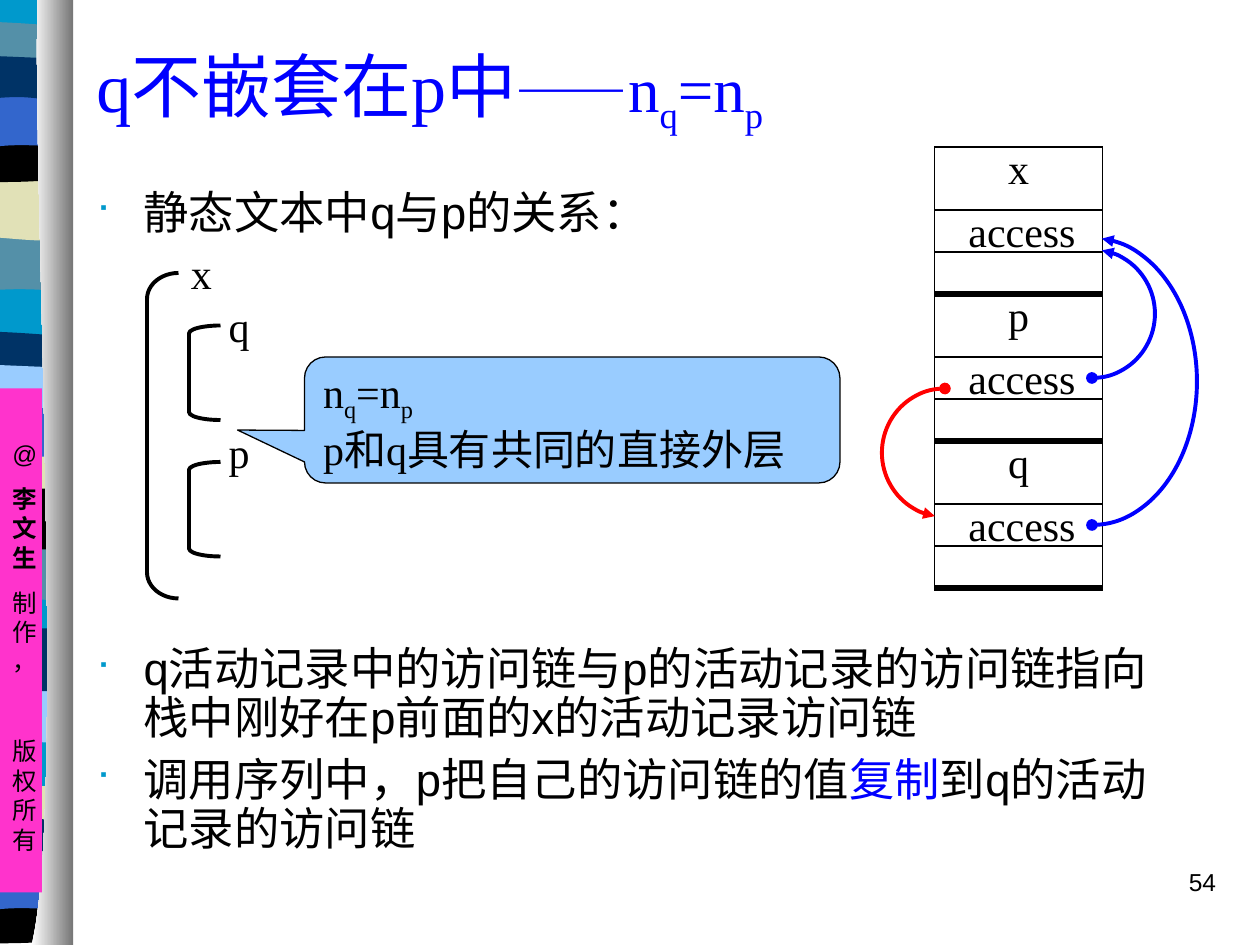
from lxml.etree import SubElement
from pptx import Presentation
from pptx.dml.color import RGBColor
from pptx.enum.shapes import MSO_CONNECTOR, MSO_SHAPE as Shape
from pptx.enum.text import MSO_ANCHOR as Anchor, PP_ALIGN as Align
from pptx.oxml.ns import qn
from pptx.util import Pt

BLACK, BLUE, RED, SKY, NAVY = "000000", "0000FF", "FF0000", "99CCFF", "003366"
TEAL, SLATE, SAND, ROYAL = "0099CC", "5490A8", "E1E1B7", "3366CC"
SERIF = {"name": "Times New Roman", "size": 24, "color": BLACK}
SANS = {"name": "Arial", "size": 25.9, "color": BLACK}
SMALL = {**SANS, "size": 14}
SUBSCRIPT = {"baseline": -25000}
BULLETED = {"bullet": True, "space_before": Pt(7)}

# Outlines start at a point; two numbers are a line, six are a Bezier curve.
SWELL = [(40, 0), (40, 34), (-14, 28, -25, 40, -38, 34), (-38, 0)]
DIP = [(40, 0), (40, 34), (27, 40, -14, 30, -38, 34), (-38, 0)]
LENS = [(40, 4), (40, 21), (27, 24, -25, 24, -38, 21), (-38, 4),
        (-33, 0, -21, 1, -8, 1), (5, 1, 30, 3, 40, 4)]
SADDLE = [(40, 0), (40, 23), (27, 27, -25, 27, -38, 23), (-38, 0),
          (10, 4, 24, 0, 40, 0)]
ARCH = [(40, 0), (40, 34), (28, 30, 23, 30, 10, 30),
        (-3, 30, -26, 34, -38, 34), (-38, 0)]
WAVE = [(40, 4), (40, 26), (35, 30, 23, 26, 10, 26),
        (-3, 26, -30, 30, -38, 26), (-38, 4), (-27, 0, 15, 4, 40, 4)]
BACKDROP = [(40, 0), (40, 538), (-38, 538), (-38, 0)]
COLUMN = [(21.6, 0), (18, 90, 38, 465, 18, 540), (41.8, 540), (41.8, 0)]

STRIPES = [
    (BACKDROP, 0, TEAL),
    (SWELL, 133, SLATE), (DIP, 101.5, SAND), (LENS, 11.5, SLATE),
    (SADDLE, 78, BLACK), (ARCH, 53, ROYAL), (WAVE, 29.5, NAVY),
    (SWELL, 310, SLATE), (DIP, 278, BLACK), (LENS, 188.5, NAVY),
    (SADDLE, 254, SAND), (ARCH, 230.5, ROYAL), (WAVE, 206, SKY),
    (SWELL, 391.5, SKY), (DIP, 359, NAVY), (LENS, 446.5, SAND),
    (SADDLE, 513, BLACK), (ARCH, 489, ROYAL), (WAVE, 464.5, NAVY),
]


def rgb(value):
    return RGBColor.from_string(value)


def paint(shape, fill=None, line=None, width=0.75):
    shape.shadow.inherit = False
    if fill:
        shape.fill.solid()
        shape.fill.fore_color.rgb = rgb(fill)
    else:
        shape.fill.background()
    if line:
        shape.line.color.rgb = rgb(line)
        shape.line.width = Pt(width)
    else:
        shape.line.fill.background()


def bend(shape, outline):
    """Merge the three lines through each curve's points into one Bezier."""
    lines = iter(list(shape._element.iter(qn("a:lnTo"))))
    for segment in outline[1:]:
        first = next(lines)
        if len(segment) == 6:
            first.tag = qn("a:cubicBezTo")
            for line in (next(lines), next(lines)):
                first.append(line[0])
                line.getparent().remove(line)


def add_outline(slide, outline, top, fill):
    vertices = [(Pt(segment[i]), Pt(top + segment[i + 1]))
                for segment in outline for i in range(0, len(segment), 2)]
    builder = slide.shapes.build_freeform(*vertices[0])
    builder.add_line_segments(vertices[1:], close=True)
    shape = builder.convert_to_shape()
    bend(shape, outline)
    paint(shape, fill)
    return shape


def add_side_band(slide):
    for outline, top, color in STRIPES:
        add_outline(slide, outline, top, color)
    column = add_outline(slide, COLUMN, 0, "FFFFFF")
    column.fill.gradient()
    column.fill.gradient_angle = 0
    for stop, color in zip(column.fill.gradient_stops, ("FFFFFF", "767676")):
        stop.color.rgb = rgb(color)


def add_bullet(paragraph):
    properties = paragraph._p.get_or_add_pPr()
    properties.set("marL", str(Pt(27)))
    properties.set("indent", str(Pt(-27)))
    color = SubElement(properties, qn("a:buClr"))
    SubElement(color, qn("a:srgbClr"), val=TEAL)
    SubElement(properties, qn("a:buSzPct"), val="70000")
    SubElement(properties, qn("a:buFont"), typeface="Wingdings", charset="2")
    SubElement(properties, qn("a:buChar"), char="■")


def write(shape, paragraphs, font, wrap=True, anchor=Anchor.TOP, **formats):
    """Fill a shape; each paragraph is a list of (text, font changes) runs."""
    frame = shape.text_frame
    frame.word_wrap = wrap
    frame.vertical_anchor = anchor
    formats = {"alignment": Align.LEFT, **formats}
    gaps = formats.pop("gaps", None)
    bullet = formats.pop("bullet", False)
    for index, runs in enumerate(paragraphs):
        paragraph = frame.add_paragraph() if index else frame.paragraphs[0]
        if bullet:
            add_bullet(paragraph)
        for name, value in formats.items():
            if index or name != "space_before":
                setattr(paragraph, name, value)
        if gaps and index:
            paragraph.space_before = Pt(gaps[index - 1])
        for text, changes in runs:
            run = paragraph.add_run()
            run.text = text
            style = {**font, **changes}
            run.font.color.rgb = rgb(style.pop("color"))
            run.font.size = Pt(style.pop("size"))
            if "baseline" in style:
                run.font._element.set("baseline", str(style.pop("baseline")))
            for name, value in style.items():
                setattr(run.font, name, value)


def add_text(slide, box, paragraphs, font, **formats):
    write(slide.shapes.add_textbox(*map(Pt, box)), paragraphs, font, **formats)


def add_label(slide, center, top, text):
    width = 76 if len(text) > 1 else 26
    add_text(slide, (center - width / 2, top, width, 36), [[(text, {})]], SERIF,
             wrap=False, anchor=Anchor.MIDDLE, alignment=Align.CENTER)


def add_shape(slide, kind, box, adjustments=(), **colors):
    shape = slide.shapes.add_shape(kind, *map(Pt, box))
    for index, value in enumerate(adjustments):
        shape.adjustments[index] = value
    paint(shape, **colors)
    return shape


def add_line(slide, start, end, width=0.75):
    line = slide.shapes.add_connector(MSO_CONNECTOR.STRAIGHT, *map(Pt, start + end))
    line.line.color.rgb = rgb(BLACK)
    line.line.width = Pt(width)
    SubElement(line._element.spPr, qn("a:effectLst"))


def add_link(slide, center, radii, angles, color):
    """Draw an arc clockwise between two angles, arrow first and dot last."""
    (x, y), (rx, ry) = center, radii
    arc = add_shape(slide, Shape.ARC, (x - rx, y - ry, 2 * rx, 2 * ry),
                    [angle * 0.6 for angle in angles], line=color, width=2.25)
    line = arc.line._get_or_add_ln()
    SubElement(line, qn("a:headEnd"), type="triangle")
    SubElement(line, qn("a:tailEnd"), type="oval")


def add_scope(slide, box, radius, name, label_center, label_top):
    add_shape(slide, Shape.LEFT_BRACKET, box, [radius], line=BLACK, width=2.25)
    add_label(slide, label_center, label_top, name)


def add_record(slide, name, top, left=534, right=630):
    add_label(slide, 582, top - 6, name)
    add_label(slide, 584, top + 30, "access")
    for offset, width in ((0, 0.75), (36, 0.75), (60, 0.75), (84, 3)):
        add_line(slide, (left, top + offset), (right, top + offset), width)
    for x in (left, right):
        add_line(slide, (x, top), (x, top + 84))


def main():
    presentation = Presentation()
    presentation.slide_width, presentation.slide_height = Pt(720), Pt(540)
    slide = presentation.slides.add_slide(presentation.slide_layouts[6])

    add_side_band(slide)
    credit = add_shape(slide, Shape.RECTANGLE, (0, 222, 24, 288), fill="FF33CC")
    credit.text_frame.margin_top = Pt(29)
    write(credit, [[("@", {})], [("李文生", {"bold": True})], [("制作，", {})],
                   [("版权所有", {})]], SMALL, alignment=Align.CENTER,
          gaps=(8.8, 8.8, 34.5))

    levels = [("n", {}), ("q", SUBSCRIPT), ("=n", {}), ("p", SUBSCRIPT)]
    title = [("q不嵌套在p中", {"size": 40}), ("——", {"size": 32})]
    add_text(slide, (48, 6, 657, 90), [title + levels],
             {**SERIF, "size": 36, "color": BLUE}, anchor=Anchor.MIDDLE)
    add_text(slide, (48, 102, 360, 42), [[("静态文本中q与p的关系：", {})]], SANS, **BULLETED)

    add_scope(slide, (84, 156, 18, 186), 0.83, "x", 115, 138)
    add_scope(slide, (108, 186, 18, 54), 0.25, "q", 136.5, 168)
    add_scope(slide, (108, 264, 18, 54), 0.25, "p", 136.5, 240)
    callout = add_shape(slide, Shape.ROUNDED_RECTANGULAR_CALLOUT, (174, 204, 306, 72),
                        (-0.625, 0.08, 0.167), fill=SKY, line=BLACK)
    write(callout, [levels, [("p和q具有共同的直接外层", {})]], SERIF,
          wrap=False, anchor=Anchor.MIDDLE)

    for index, name in enumerate("xpq"):
        add_record(slide, name, 84 * (index + 1))
    add_link(slide, (624, 179.3), (36, 36.7), (279, 90), BLUE)
    add_link(slide, (624, 218), (60, 82), (274, 90), BLUE)
    add_link(slide, (540, 258.7), (36, 36.7), (99, 270), RED)

    add_text(slide, (48, 366, 618, 156), [
        [("q活动记录中的访问链与p的活动记录的访问链指向栈中刚好在p前面的x的活动记录访问链", {})],
        [("调用序列中，p把自己的访问链的值", {}), ("复制", {"color": BLUE}),
         ("到q的活动记录的访问链", {})],
    ], SANS, line_spacing=0.9, **BULLETED)
    add_text(slide, (552, 492, 150, 36), [[("54", {})]], SMALL, alignment=Align.RIGHT)
    presentation.save("out.pptx")


if __name__ == "__main__":
    main()
